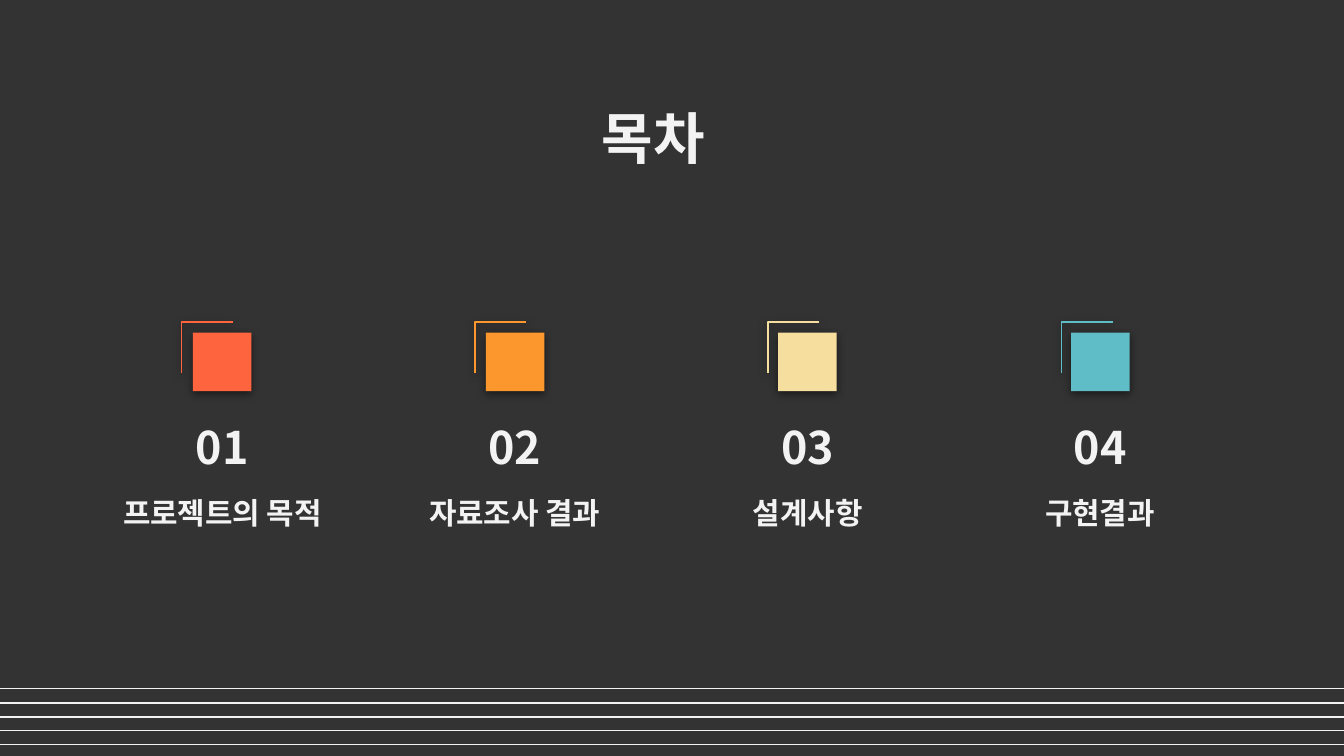
from lxml import etree
from pptx import Presentation
from pptx.dml.color import RGBColor
from pptx.enum.shapes import MSO_CONNECTOR, MSO_SHAPE
from pptx.enum.text import MSO_ANCHOR as Anchor, MSO_AUTO_SIZE as AutoSize, PP_ALIGN as Align
from pptx.oxml import parse_xml
from pptx.oxml.ns import nsdecls, qn
from pptx.util import Pt

PX = 4572  # EMU per px, 200 px to the inch
SLIDE_WIDTH, SLIDE_HEIGHT = 2000, 1125
FONT = "Noto Sans CJK KR"

DARK = RGBColor(0x33, 0x33, 0x33)
LIGHT = RGBColor(0xF3, 0xF3, 0xF3)
RED = RGBColor(0xFE, 0x64, 0x3E)
ORANGE = RGBColor(0xFC, 0x97, 0x2D)
YELLOW = RGBColor(0xF6, 0xDE, 0x9E)
TEAL = RGBColor(0x5E, 0xBD, 0xC6)

CHAPTERS = [
    ("프로젝트의 목적", RED),
    ("자료조사 결과", ORANGE),
    ("설계사항", YELLOW),
    ("구현결과", TEAL),
]
LABEL_WIDTH = 414
SQUARE_SIZE = 87
BRACKET_SIZE = 76
STRIPE_COUNT = 5


def px(*lengths):
    return [length * PX for length in lengths]


def spread(first, last, count):
    """Evenly spaced positions from first to last."""
    return [first + round((last - first) * i / (count - 1)) for i in range(count)]


def add_soft_shadow(shape):
    shape._element.spPr.append(parse_xml(
        f'<a:effectLst {nsdecls("a")}>'
        '<a:outerShdw blurRad="57150" dist="19050" dir="5400000" algn="bl" rotWithShape="0">'
        '<a:srgbClr val="000000"><a:alpha val="50000"/></a:srgbClr>'
        '</a:outerShdw></a:effectLst>'))


def style_line(line, color):
    line.color.rgb = color
    line.width = Pt(0.75)


def write_text(shape, text, size, anchor, space_after=0):
    frame = shape.text_frame
    inset = 20 * PX
    frame_format = {
        "word_wrap": True, "auto_size": AutoSize.NONE, "vertical_anchor": anchor,
        "margin_left": inset, "margin_right": inset,
        "margin_top": inset, "margin_bottom": inset,
    }
    for name, value in frame_format.items():
        setattr(frame, name, value)
    paragraph = frame.paragraphs[0]
    paragraph.alignment = Align.CENTER
    paragraph.space_after = Pt(space_after)
    run = paragraph.add_run()
    run.text = text
    for name, value in {"name": FONT, "size": Pt(size), "bold": True}.items():
        setattr(run.font, name, value)
    run.font.color.rgb = LIGHT
    east_asian = etree.SubElement(run._r.get_or_add_rPr(), qn("a:ea"))
    east_asian.set("typeface", FONT)


def add_title(slide, text):
    title = slide.shapes.title
    title.left, title.top, title.width, title.height = px(128, 134, 1688, 134)
    write_text(title, text, 30, Anchor.TOP)


def add_label(slide, text, left, top, height, **text_format):
    label = slide.shapes.add_textbox(*px(left, top, LABEL_WIDTH, height))
    write_text(label, text, **text_format)


def add_square(slide, left, top, color):
    square = slide.shapes.add_shape(
        MSO_SHAPE.RECTANGLE, *px(left, top, SQUARE_SIZE, SQUARE_SIZE))
    square.fill.solid()
    square.fill.fore_color.rgb = color
    square.line.fill.background()
    add_soft_shadow(square)


def add_bracket(slide, left, top, color):
    """Open corner above and to the left of a square."""
    outline = slide.shapes.build_freeform(left, top + BRACKET_SIZE, scale=PX)
    outline.add_line_segments([(left, top), (left + BRACKET_SIZE, top)], close=False)
    bracket = outline.convert_to_shape()
    bracket.fill.background()
    style_line(bracket.line, color)
    add_soft_shadow(bracket)


def add_stripes(slide):
    stripes = slide.shapes.add_group_shape()
    for top in spread(1025, 1108, STRIPE_COUNT):
        stripe = stripes.shapes.add_connector(
            MSO_CONNECTOR.STRAIGHT, *px(0, top, SLIDE_WIDTH, top))
        style_line(stripe.line, LIGHT)
        add_soft_shadow(stripe)


def add_chapters(slide):
    count = len(CHAPTERS)
    columns = zip(CHAPTERS, spread(124, 1430, count),
                  spread(287, 1594, count), spread(270, 1580, count))
    for number, ((name, color), label_left, square_left, bracket_left) in enumerate(columns, 1):
        add_label(slide, f"{number:02}", label_left, 613, 104, size=24, anchor=Anchor.MIDDLE)
        add_label(slide, name, label_left, 716, 82, size=16, anchor=Anchor.TOP, space_after=16)
        add_square(slide, square_left, 495, color)
        add_bracket(slide, bracket_left, 479, color)


def main():
    deck = Presentation()
    deck.slide_width, deck.slide_height = px(SLIDE_WIDTH, SLIDE_HEIGHT)
    slide = deck.slides.add_slide(deck.slide_layouts.get_by_name("Title Only"))
    background = slide.background.fill
    background.solid()
    background.fore_color.rgb = DARK

    add_title(slide, "목차")
    add_chapters(slide)
    add_stripes(slide)

    deck.save("out.pptx")


if __name__ == "__main__":
    main()
